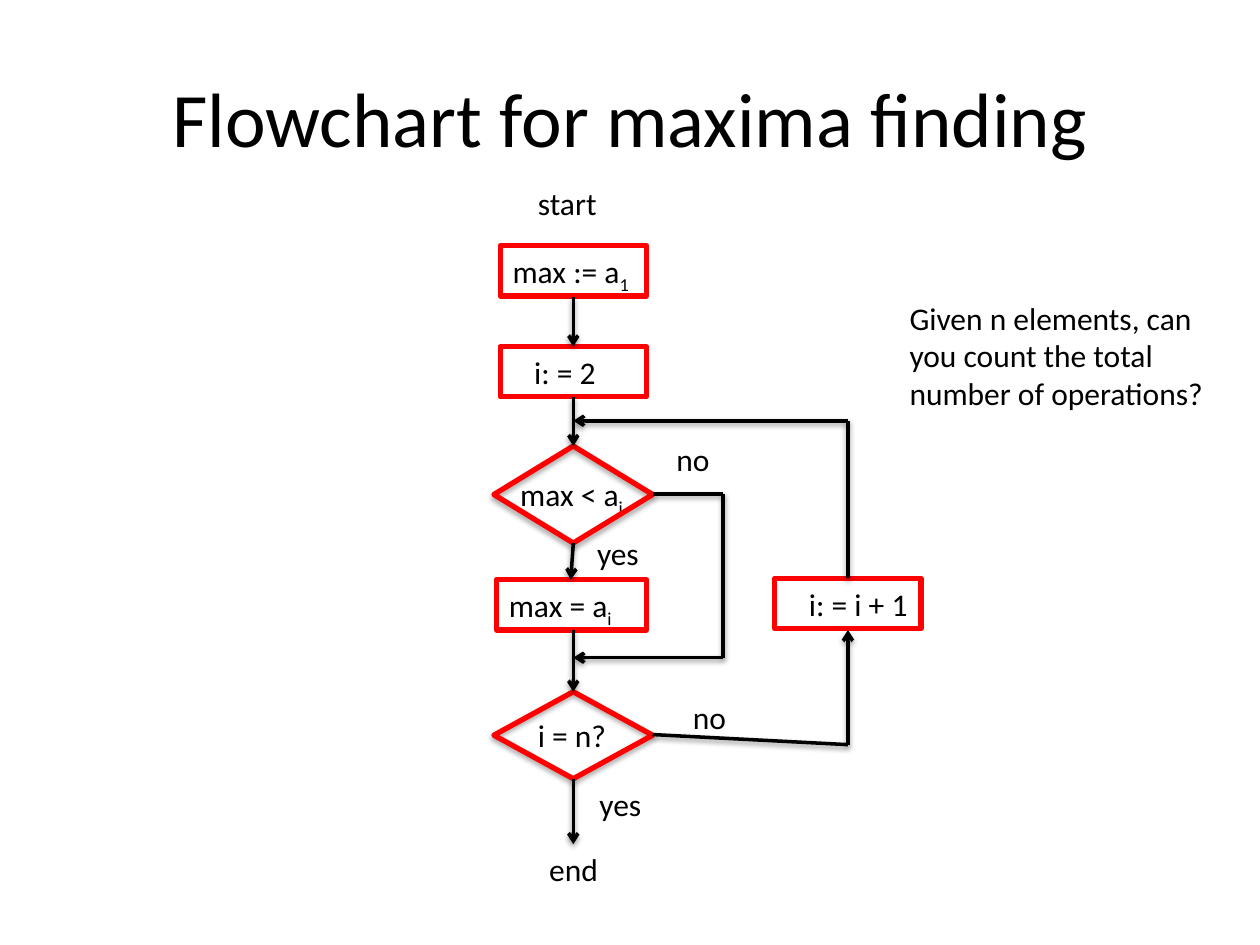
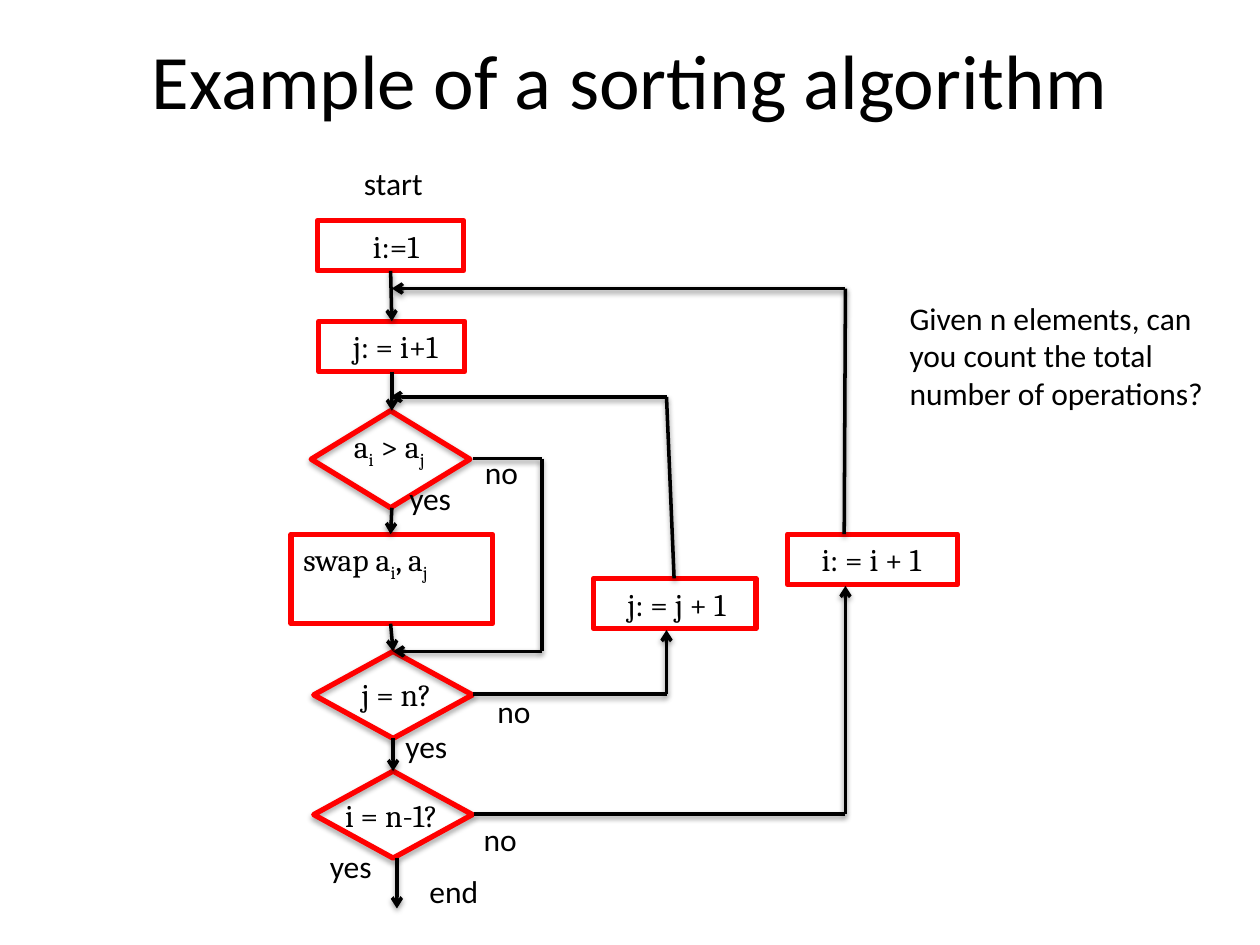
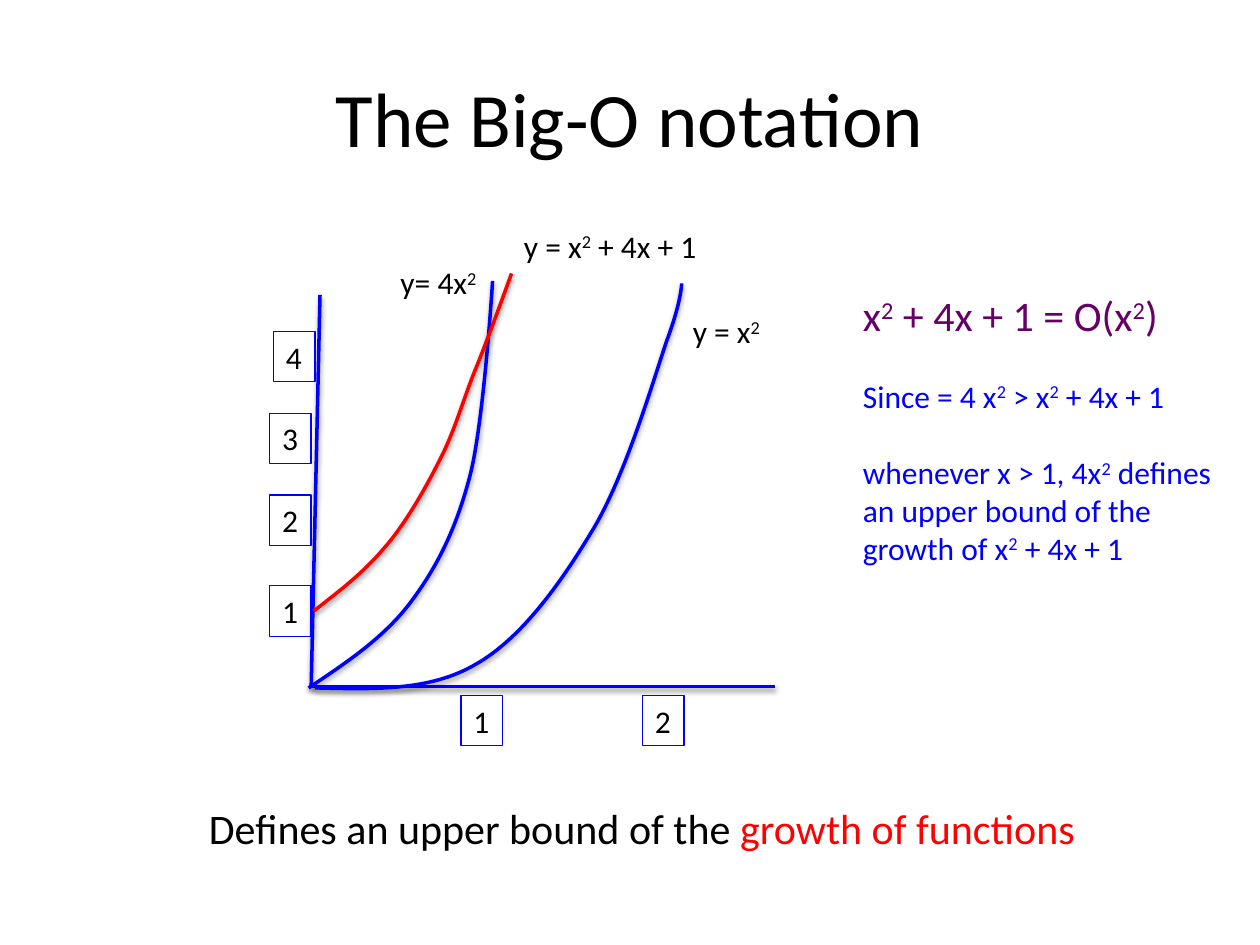
import itertools

import lxml.etree
import pptx
import pptx.dml.color
import pptx.enum.shapes
import pptx.enum.text
import pptx.oxml.ns
import pptx.util

Inches = pptx.util.Inches
Pt = pptx.util.Pt
qn = pptx.oxml.ns.qn

COLORS = {"ink": "000000", "red": "FF0000", "blue": "0000FF", "purple": "660066"}
SANS, SERIF = "Calibri", "Cambria"
BASELINES = {"_": "-25000", "^": "30000"}
LABEL_HEIGHT = 0.4
DECISION_WIDTH = 1.26
QUESTION = ["Given n elements, can you count the total", "number of operations?"]


def rgb(color):
    return pptx.dml.color.RGBColor.from_string(COLORS[color])


def set_font(font, size, color, face=SANS):
    font.size = Pt(size)
    font.name = face
    font.color.rgb = rgb(color)


def set_line(shape, color, width):
    shape.line.color.rgb = rgb(color)
    shape.line.width = Pt(width)


def add_shadow(shape, opacity, distance):
    properties = shape._element.spPr
    for inherited in properties.findall(qn("a:effectLst")):
        properties.remove(inherited)
    effects = lxml.etree.SubElement(properties, qn("a:effectLst"))
    outer = lxml.etree.SubElement(
        effects, qn("a:outerShdw"), blurRad=str(Pt(3.1)), dist=str(Pt(distance)),
        dir="5400000", rotWithShape="0")
    tone = lxml.etree.SubElement(outer, qn("a:srgbClr"), val=COLORS["ink"])
    lxml.etree.SubElement(tone, qn("a:alpha"), val=str(opacity * 1000))


def write(paragraph, markup, size=18, color="ink", face=SANS):
    set_font(paragraph.font, size, color, face)
    for piece in markup.split("|"):
        run = paragraph.add_run()
        run.text = piece.lstrip("_^")
        if piece[0] in BASELINES:
            run._r.get_or_add_rPr().set("baseline", BASELINES[piece[0]])


def add_label(slide, left, top, width, markup, height=LABEL_HEIGHT, wrap=False, **font):
    label = slide.shapes.add_textbox(Inches(left), Inches(top), Inches(width), Inches(height))
    label.text_frame.word_wrap = wrap
    write(label.text_frame.paragraphs[0], markup, **font)
    return label


def add_step(slide, left, top, width, markup, indent=0.0, height=LABEL_HEIGHT, face=SANS):
    step = add_label(slide, left, top, width, markup, height, True, face=face)
    step.text_frame.margin_left = Inches(0.1 + indent)
    set_line(step, "red", 3)


def add_decision(slide, left, top, height):
    decision = slide.shapes.add_shape(
        pptx.enum.shapes.MSO_SHAPE.FLOWCHART_DECISION,
        Inches(left), Inches(top), Inches(DECISION_WIDTH), Inches(height))
    decision.fill.background()
    set_line(decision, "red", 3)
    add_shadow(decision, 35, 1.8)


def add_route(slide, points, color="ink", arrow=True):
    for start, end in itertools.pairwise(points):
        leg = slide.shapes.add_connector(
            pptx.enum.shapes.MSO_CONNECTOR.STRAIGHT, *map(Inches, start + end))
        set_line(leg, color, 2)
        if arrow and end == points[-1]:
            lxml.etree.SubElement(leg._element.spPr.find(qn("a:ln")), qn("a:tailEnd"), type="arrow")
        add_shadow(leg, 38, 1.6)


def add_curve(slide, controls, color):
    start, *rest = [tuple(map(Inches, point)) for point in controls]
    builder = slide.shapes.build_freeform(*start)
    builder.add_line_segments(rest, close=False)
    curve = builder.convert_to_shape()
    segments = list(curve._element.spPr.iter(qn("a:lnTo")))
    for first in range(0, len(segments), 3):
        bend = lxml.etree.Element(qn("a:cubicBezTo"))
        segments[first].addprevious(bend)
        for segment in segments[first:first + 3]:
            bend.append(segment[0])
            segment.getparent().remove(segment)
    curve.fill.background()
    set_line(curve, color, 2)
    add_shadow(curve, 38, 1.6)


def add_titled_slide(deck, heading, top=0.3):
    slide = deck.slides.add_slide(deck.slide_layouts[5])
    title = slide.shapes.title
    title.left, title.top, title.width, title.height = map(Inches, (0.5, top, 9, 1.25))
    title.text_frame.text = heading
    title.text_frame.vertical_anchor = pptx.enum.text.MSO_ANCHOR.MIDDLE
    paragraph = title.text_frame.paragraphs[0]
    paragraph.alignment = pptx.enum.text.PP_ALIGN.CENTER
    set_font(paragraph.font, 44, "ink")
    return slide


def add_question(slide):
    question = add_label(slide, 7.12, 2.32, 2.61, QUESTION[0], height=1.01, wrap=True)
    write(question.text_frame.add_paragraph(), QUESTION[1])


def build_maxima(deck):
    slide = add_titled_slide(deck, "Flowchart for maxima finding")
    add_step(slide, 3.97, 1.95, 1.16, "max := a|_1")
    add_step(slide, 3.97, 2.75, 1.16, "i: = 2", 0.17)
    add_label(slide, 4.03, 3.72, 1.03, "max < a|_i")
    add_decision(slide, 3.92, 3.54, 0.77)
    add_step(slide, 3.94, 4.6, 1.19, "max = a|_i")
    add_decision(slide, 3.92, 5.49, 0.69)
    add_label(slide, 4.17, 5.63, 0.76, "i = n?")
    add_step(slide, 6.15, 4.59, 1.16, "i: = i + 1", 0.17)

    spine = 4.55
    for top, bottom in ((2.36, 2.75), (3.15, 3.54), (5, 5.49), (6.18, 6.7)):
        add_route(slide, [(spine, top), (spine, bottom)])
    add_route(slide, [(spine, 4.31), (4.53, 4.6)])
    add_route(slide, [(5.18, 5.83), (6.73, 5.91), (6.73, 5)])
    add_route(slide, [(6.73, 4.59), (6.73, 3.34), (spine, 3.34)])
    add_route(slide, [(5.18, 3.92), (5.74, 3.92), (5.74, 5.22), (spine, 5.22)])

    for left, top, width, word in (
            (4.17, 1.41, 0.68, "start"), (4.64, 4.19, 0.54, "yes"),
            (5.27, 3.44, 0.47, "no"), (4.26, 6.7, 0.59, "end"),
            (4.66, 6.18, 0.54, "yes"), (5.4, 5.49, 0.47, "no")):
        add_label(slide, left, top, width, word)
    add_question(slide)


def build_sorting(deck):
    slide = add_titled_slide(deck, "Example of a sorting algorithm", top=0)
    add_step(slide, 2.52, 1.75, 1.16, "i:=1", 0.34, face=SERIF)
    add_step(slide, 2.53, 2.55, 1.16, "j: = i+1", 0.17, face=SERIF)
    add_label(slide, 2.71, 3.34, 0.79, "a|_i| > a|_j", face=SERIF)
    add_decision(slide, 2.47, 3.26, 0.77)
    add_step(slide, 2.31, 4.24, 1.6, "swap a|_i|, a|_j", height=0.71, face=SERIF)
    add_decision(slide, 2.49, 5.17, 0.69)
    add_label(slide, 2.77, 5.31, 0.77, "j = n?", face=SERIF)
    add_step(slide, 4.71, 4.59, 1.29, "j: = j + 1", 0.17, face=SERIF)
    add_decision(slide, 2.49, 6.12, 0.69)
    add_label(slide, 2.64, 6.27, 0.99, "i = n-1?", face=SERIF)
    add_step(slide, 6.25, 4.24, 1.35, "i: = i + 1", 0.17, face=SERIF)

    for start, end in (
            ((3.1, 2.15), (3.11, 2.55)), ((3.11, 2.95), (3.11, 3.26)),
            ((3.11, 4.03), (3.1, 4.24)), ((3.1, 4.95), (3.12, 5.17)),
            ((3.12, 5.86), (3.12, 6.12)), ((3.15, 6.81), (3.15, 7.21))):
        add_route(slide, [start, end])
    add_route(slide, [(3.75, 5.51), (5.29, 5.51), (5.29, 5)])
    add_route(slide, [(5.35, 4.59), (5.29, 3.15), (3.1, 3.15)])
    add_route(slide, [(3.75, 3.64), (4.3, 3.64), (4.3, 5.17), (3.12, 5.17)])
    add_route(slide, [(3.76, 6.46), (6.71, 6.46), (6.71, 4.65)])
    add_route(slide, [(6.7, 4.24), (6.71, 2.29), (3.11, 2.29)])

    for left, top, width, word in (
            (2.79, 1.25, 0.68, "start"), (3.15, 3.75, 0.54, "yes"),
            (3.75, 3.55, 0.47, "no"), (3.31, 6.87, 0.59, "end"),
            (3.12, 5.72, 0.54, "yes"), (3.85, 5.44, 0.47, "no"),
            (3.74, 6.46, 0.47, "no"), (2.52, 6.67, 0.54, "yes")):
        add_label(slide, left, top, width, word)
    add_question(slide)


def build_big_o(deck):
    slide = add_titled_slide(deck, "The Big-O notation")
    add_route(slide, [(2.54, 2.34), (2.47, 5.45), (6.15, 5.45)], "blue", arrow=False)
    for left, top, value in (
            (3.66, 5.52, "1"), (5.1, 5.52, "2"), (2.14, 4.65, "1"),
            (2.14, 3.93, "2"), (2.14, 3.28, "3"), (2.17, 2.63, "4")):
        set_line(add_label(slide, left, top, 0.33, value), "blue", 0.75)

    add_curve(slide, [
        (2.45, 5.46), (2.75, 5.26), (3.05, 5.06), (3.26, 4.78), (3.47, 4.5),
        (3.62, 4.2), (3.73, 3.78), (3.84, 3.36), (3.91, 2.23), (3.91, 2.23)], "blue")
    add_curve(slide, [
        (2.5, 5.46), (2.95, 5.47), (3.41, 5.49), (3.78, 5.27), (4.15, 5.06),
        (4.47, 4.6), (4.72, 4.18), (4.97, 3.75), (5.18, 3.04), (5.29, 2.71),
        (5.41, 2.39), (5.41, 2.25), (5.41, 2.25)], "blue")
    add_curve(slide, [
        (2.49, 4.85), (2.68, 4.7), (2.87, 4.56), (3.04, 4.36), (3.21, 4.17),
        (3.37, 3.89), (3.49, 3.65), (3.61, 3.42), (3.67, 3.19), (3.77, 2.94),
        (3.87, 2.7), (4.06, 2.17), (4.06, 2.17)], "red")
    add_label(slide, 5.4, 2.43, 0.75, "y = x|^2")
    add_label(slide, 3.08, 2.04, 0.82, "y= 4x|^2")
    add_label(slide, 4.06, 1.75, 1.65, "y = x|^2| + 4x + 1")

    proof = add_label(slide, 6.75, 2.25, 3.05, "x|^2| + 4x + 1 = O(x|^2|)",
                      height=2.32, wrap=True, size=24, color="purple")
    for markup, gap in (
            ("Since = 4 x|^2| > x|^2| + 4x + 1", 21),
            ("whenever x > 1, 4x|^2| defines", 22),
            ("an upper bound of the", 0),
            ("growth of x|^2| + 4x + 1", 0)):
        paragraph = proof.text_frame.add_paragraph()
        paragraph.space_before = Pt(gap)
        write(paragraph, markup, color="blue")

    summary = add_label(slide, 1.56, 6.32, 7.09,
                        "Defines an upper bound of the |growth of functions", height=0.5, size=24)
    summary.text_frame.paragraphs[0].runs[1].font.color.rgb = rgb("red")


def main():
    deck = pptx.Presentation()
    deck.slide_width, deck.slide_height = Inches(10), Inches(7.5)
    build_maxima(deck)
    build_sorting(deck)
    build_big_o(deck)
    deck.save("out.pptx")


main()
